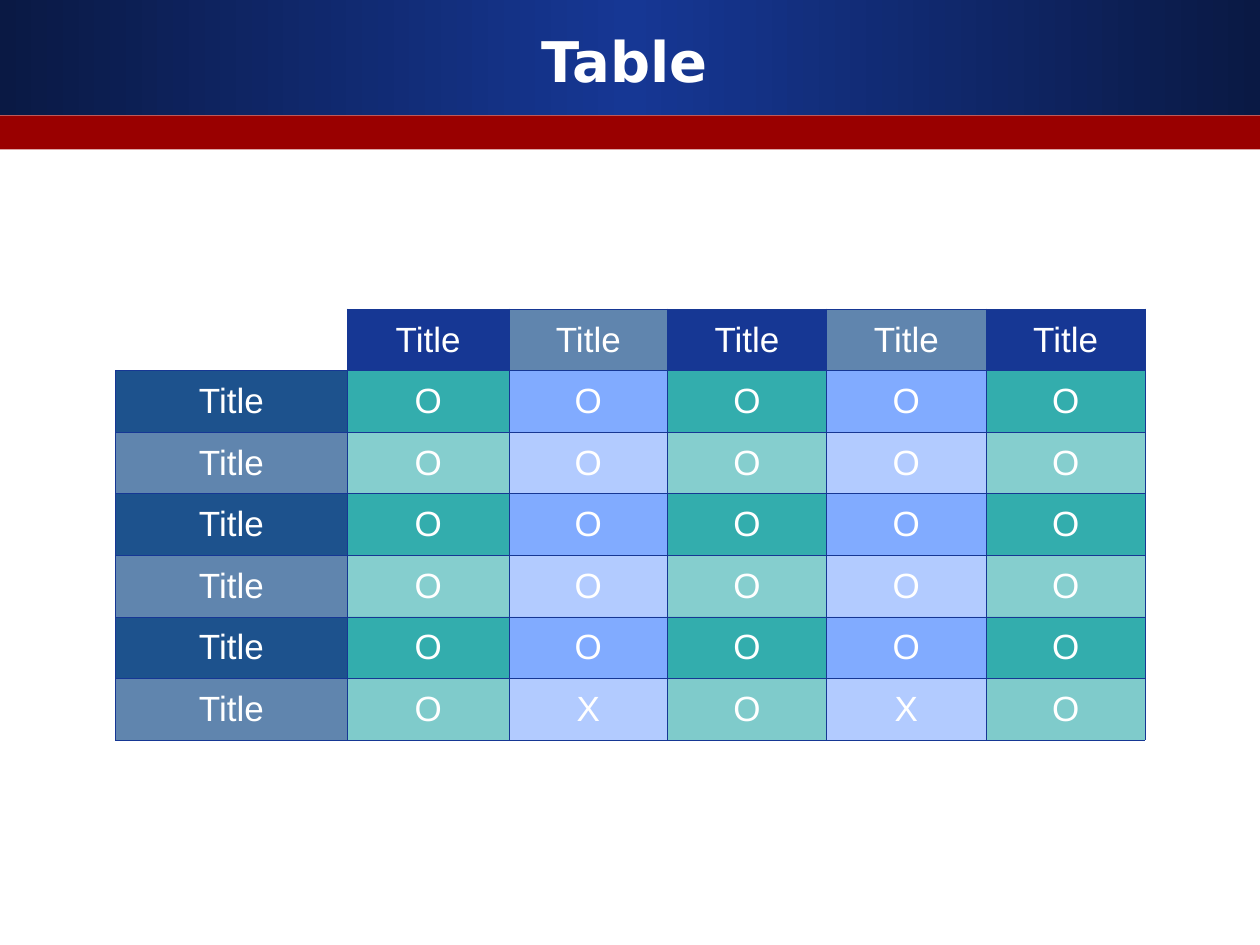
from copy import deepcopy
from dataclasses import dataclass

from lxml.etree import SubElement
from pptx import Presentation
from pptx.dml.color import RGBColor
from pptx.enum.shapes import MSO_SHAPE
from pptx.enum.text import MSO_ANCHOR, MSO_AUTO_SIZE, PP_ALIGN
from pptx.oxml.ns import qn
from pptx.util import Pt


@dataclass(frozen=True)
class Theme:
    white: str = "FFFFFF"
    navy: str = "0A1944"
    blue: str = "163794"
    steel: str = "1D528D"
    teal: str = "009999"
    sky: str = "6699FF"
    red: str = "990000"
    title_font: str = "DejaVu Sans"
    body_font: str = "Arial"
    title_size: int = 32
    body_size: int = 20
    border: float = 0.45
    no_style: str = "{2D5ABB26-0587-4C30-8999-92F81FD0307C}"


class SlideBuilder:
    def __init__(self, prs, theme):
        self.theme = theme
        self.s = prs.slides.add_slide(prs.slide_layouts[5])

    def bar(self, top, width, height, *colors):
        """A full-width bar: one colour is solid, three make a gradient."""
        sp = self.s.shapes.add_shape(MSO_SHAPE.RECTANGLE, 0, Pt(top), Pt(width), Pt(height))
        sp.shadow.inherit = False
        sp.line.fill.background()
        if len(colors) == 1:
            sp.fill.solid()
            sp.fill.fore_color.rgb = RGBColor.from_string(colors[0])
            return
        sp.fill.gradient()
        sp.fill.gradient_angle = 0
        stops = next(sp.element.iter(qn("a:gsLst")))
        stops.append(deepcopy(stops[0]))
        for i, (stop, color) in enumerate(zip(sp.fill.gradient_stops, colors)):
            stop.position = i / (len(colors) - 1)
            stop.color.rgb = RGBColor.from_string(color)

    def format_text(self, p, font, size, bold=False):
        p.alignment = PP_ALIGN.CENTER
        p.font.name = font
        p.font.size = Pt(size)
        p.font.bold = bold
        p.font.color.rgb = RGBColor.from_string(self.theme.white)

    def title(self, text, left, top, width, height):
        sp = self.s.shapes.title
        sp.left, sp.top, sp.width, sp.height = Pt(left), Pt(top), Pt(width), Pt(height)
        tf = sp.text_frame
        tf.text = text
        tf.auto_size = MSO_AUTO_SIZE.NONE
        tf.vertical_anchor = MSO_ANCHOR.MIDDLE
        self.format_text(tf.paragraphs[0], self.theme.title_font, self.theme.title_size, True)
        # Bring the title in front of the bars
        sp.element.getparent().append(sp.element)

    def borders(self, cell, sides):
        tc_pr = cell._tc.get_or_add_tcPr()
        for i, side in enumerate(sides):
            ln = SubElement(tc_pr, qn(f"a:ln{side}"), w=str(Pt(self.theme.border)))
            fill = SubElement(ln, qn("a:solidFill"))
            SubElement(fill, qn("a:srgbClr"), val=self.theme.blue)
            tc_pr.insert(i, ln)

    def cell(self, cell, text, color, alpha):
        cell.text = text
        cell.vertical_anchor = MSO_ANCHOR.MIDDLE
        p = cell.text_frame.paragraphs[0]
        p.space_before = Pt(5)
        self.format_text(p, self.theme.body_font, self.theme.body_size)
        cell.fill.solid()
        cell.fill.fore_color.rgb = RGBColor.from_string(color)
        if alpha < 100:
            clr = next(cell._tc.tcPr.iter(qn("a:srgbClr")))
            SubElement(clr, qn("a:alpha"), val=str(alpha * 1000))
        self.borders(cell, "LRTB")

    def table(self, rows, left, top, widths, row_height, style):
        """Fill a grid; style(row, column) gives each cell's colour and opacity."""
        frame = self.s.shapes.add_table(len(rows), len(widths), Pt(left), Pt(top),
                                        Pt(sum(widths)), Pt(row_height * len(rows)))
        table = frame.table
        table.first_row = table.horz_banding = False
        next(frame.element.iter(qn("a:tableStyleId"))).text = self.theme.no_style
        for column, width in zip(table.columns, widths):
            column.width = Pt(width)
        for r, row in enumerate(rows):
            table.rows[r].height = Pt(row_height)
            for c, text in enumerate(row):
                if text:
                    self.cell(table.cell(r, c), text, *style(r, c))
        # The empty corner borders only the headings
        corner = table.cell(0, 0)
        corner.fill.background()
        self.borders(corner, "RB")


def main():
    theme = Theme()
    prs = Presentation()
    prs.slide_width, prs.slide_height = Pt(720), Pt(540)
    slide = SlideBuilder(prs, theme)

    # Header
    slide.bar(0, 720, 65.5, theme.navy, theme.blue, theme.navy)
    slide.bar(66, 720, 19.4, theme.red)
    slide.title("Table", 23.8, 12.2, 666, 44.6)

    # Table
    rows = [["", *["Title"] * 5],
            *[["Title", *"OOOOO"] for _ in range(5)],
            ["Title", *"OXOXO"]]

    def style(r, c):
        if r == 0:
            return (theme.blue, 100) if c % 2 else (theme.steel, 70)
        if c == 0:
            return theme.steel, 100 if r % 2 else 70
        if c % 2 == 0:
            return theme.sky, 82 if r % 2 else 50
        if r == len(rows) - 1:
            return theme.teal, 50
        return theme.teal, 80 if r % 2 else 48

    slide.table(rows, 66, 176.6, [132.5, 92.4, 90.7, 90.7, 91.4, 90.7], 35.18, style)
    prs.save("out.pptx")


if __name__ == "__main__":
    main()
